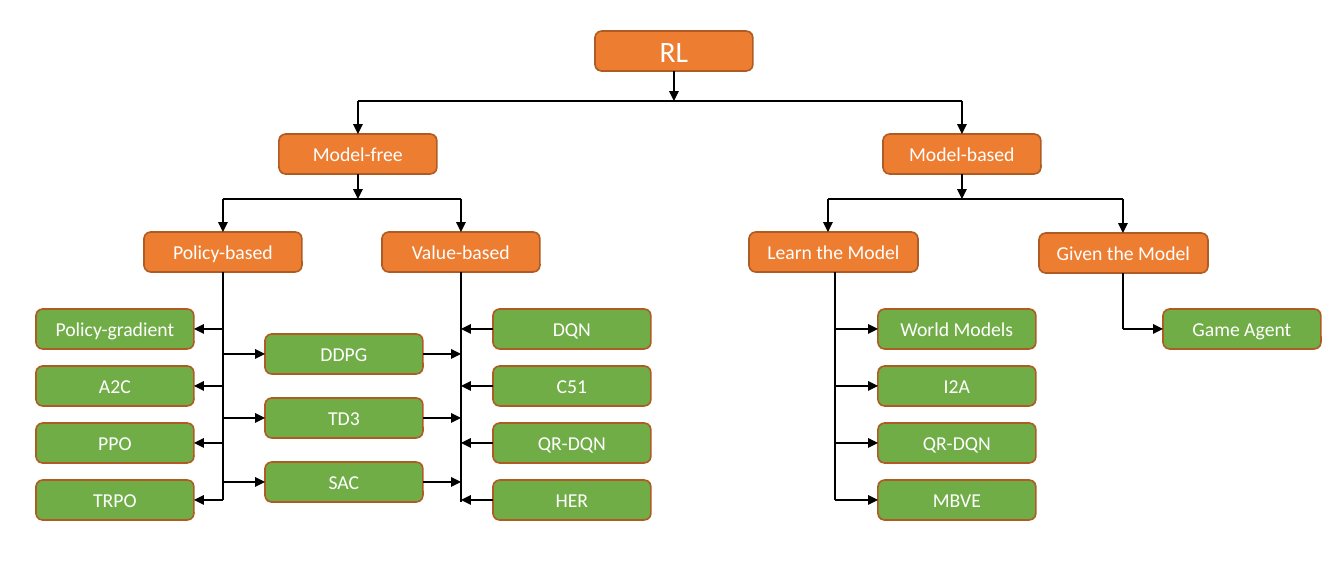
"""Draw a tree of reinforcement learning methods."""
from dataclasses import dataclass

import lxml.etree
import pptx
import pptx.dml.color
import pptx.enum.shapes
import pptx.enum.text
import pptx.oxml.ns
import pptx.util

SCALE = 914400 / 118.3
WIDE, HIGH = 158, 40
MID = HIGH // 2
FIRST, STEP = 309, 57


@dataclass(frozen=True)
class Theme:
    group: str = "ED7D31"
    leaf: str = "70AD47"
    edge: str = "AF5C24"
    ink: str = "000000"
    text: str = "FFFFFF"
    font: str = "Calibri"
    large: int = 18
    small: int = 12
    line: float = 1
    thin: float = 0.75


@dataclass(frozen=True)
class Node:
    text: str
    left: int
    top: int
    wide: int = WIDE
    fill: str = Theme.group
    size: int = Theme.small

    @property
    def center(self) -> int:
        return self.left + self.wide // 2

    @property
    def base(self) -> int:
        return self.top + HIGH


@dataclass(frozen=True)
class Fork:
    root: Node
    bar: int
    kids: tuple[Node, ...]
    drops: tuple[int, ...]
    weight: float = Theme.thin


@dataclass(frozen=True)
class Stack:
    names: tuple[str, ...]
    left: int
    top: int = FIRST
    step: int = STEP

    def nodes(self) -> list[Node]:
        return [Node(name, self.left, self.top + row * self.step, fill=Theme.leaf)
                for row, name in enumerate(self.names)]


@dataclass(frozen=True)
class Trunk:
    top: int
    x: int
    end: int


@dataclass(frozen=True)
class Link:
    stack: Stack
    start: int
    stop: int


def emu(length: float) -> pptx.util.Emu:
    """Turn pixels into EMU."""
    return pptx.util.Emu(round(length * SCALE))


def color(code: str) -> pptx.dml.color.RGBColor:
    """Turn a hex code into a colour."""
    return pptx.dml.color.RGBColor.from_string(code)


def draw_node(shapes, node: Node) -> None:
    """Draw one rounded box with its label."""
    box = shapes.add_shape(pptx.enum.shapes.MSO_SHAPE.ROUNDED_RECTANGLE,
                           emu(node.left), emu(node.top), emu(node.wide), emu(HIGH))
    box.shadow.inherit = False
    box.fill.solid()
    box.fill.fore_color.rgb = color(node.fill)
    box.line.color.rgb = color(Theme.edge)
    box.line.width = pptx.util.Pt(Theme.line)
    frame = box.text_frame
    frame.text = node.text
    frame.word_wrap = True
    frame.vertical_anchor = pptx.enum.text.MSO_ANCHOR.MIDDLE
    par = frame.paragraphs[0]
    par.alignment = pptx.enum.text.PP_ALIGN.CENTER
    font = par.runs[0].font
    font.name = Theme.font
    font.size = pptx.util.Pt(node.size)
    font.color.rgb = color(Theme.text)


def draw_line(shapes, start: tuple[int, int], stop: tuple[int, int],
              head: bool = True, weight: float = Theme.line) -> None:
    """Draw a straight line, with an arrowhead at its end if asked."""
    line = shapes.add_connector(pptx.enum.shapes.MSO_CONNECTOR.STRAIGHT,
                                *map(emu, start + stop))
    line.line.color.rgb = color(Theme.ink)
    line.line.width = pptx.util.Pt(weight)
    name = pptx.oxml.ns.qn
    props = line._element.spPr
    if head:
        lxml.etree.SubElement(props.find(name("a:ln")), name("a:tailEnd"), type="triangle")
    lxml.etree.SubElement(props, name("a:effectLst"))


def draw_fork(shapes, fork: Fork) -> None:
    """Draw the arrows that lead from a box to those below it."""
    x = fork.root.center
    draw_line(shapes, (x, fork.root.base), (x, fork.bar))
    draw_line(shapes, (fork.drops[0], fork.bar), (fork.drops[-1], fork.bar),
              head=False, weight=fork.weight)
    for kid, drop in zip(fork.kids, fork.drops):
        draw_line(shapes, (drop, fork.bar), (drop, kid.top), weight=fork.weight)


def main() -> None:
    """Build and save the slide."""
    deck = pptx.Presentation()
    deck.slide_width, deck.slide_height = emu(1344), emu(561)
    shapes = deck.slides.add_slide(deck.slide_layouts[6]).shapes

    root = Node("RL", 595, 31, size=Theme.large)
    free = Node("Model-free", 279, 134)
    based = Node("Model-based", 883, 134)
    policy = Node("Policy-based", 144, 232)
    value = Node("Value-based", 382, 232)
    learn = Node("Learn the Model", 749, 232, 169)
    given = Node("Given the Model", 1039, 233, 169)

    forks = (
        Fork(root, 101, (free, based), (free.center, based.center), Theme.line),
        Fork(free, 199, (policy, value), (policy.center, value.center)),
        Fork(based, 199, (learn, given), (828, given.center)),
    )

    grads = Stack(("Policy-gradient", "A2C", "PPO", "TRPO"), 36)
    mixed = Stack(("DDPG", "TD3", "SAC"), 265, 334, 64)
    quals = Stack(("DQN", "C51", "QR-DQN", "HER"), 493)
    worlds = Stack(("World Models", "I2A", "QR-DQN", "MBVE"), 878)
    games = Stack(("Game Agent",), 1163)

    last = FIRST + 3 * STEP + MID
    trunks = (
        Trunk(policy.base, policy.center, last),
        Trunk(value.base, value.center, last + 2),
        Trunk(learn.base, 835, last),
        Trunk(given.base, given.center, FIRST + MID),
    )
    links = (
        Link(grads, policy.center, grads.left + WIDE),
        Link(mixed, policy.center, mixed.left),
        Link(mixed, mixed.left + WIDE, value.center),
        Link(quals, quals.left, value.center),
        Link(worlds, 835, worlds.left),
        Link(games, given.center, games.left),
    )

    for node in (root, free, based, policy, value, learn, given):
        draw_node(shapes, node)
    for stack in (grads, mixed, quals, worlds, games):
        for node in stack.nodes():
            draw_node(shapes, node)
    for fork in forks:
        draw_fork(shapes, fork)
    for trunk in trunks:
        draw_line(shapes, (trunk.x, trunk.top), (trunk.x, trunk.end), head=False)
    for link in links:
        for node in link.stack.nodes():
            y = node.top + MID
            draw_line(shapes, (link.start, y), (link.stop, y))

    deck.save("out.pptx")


main()
